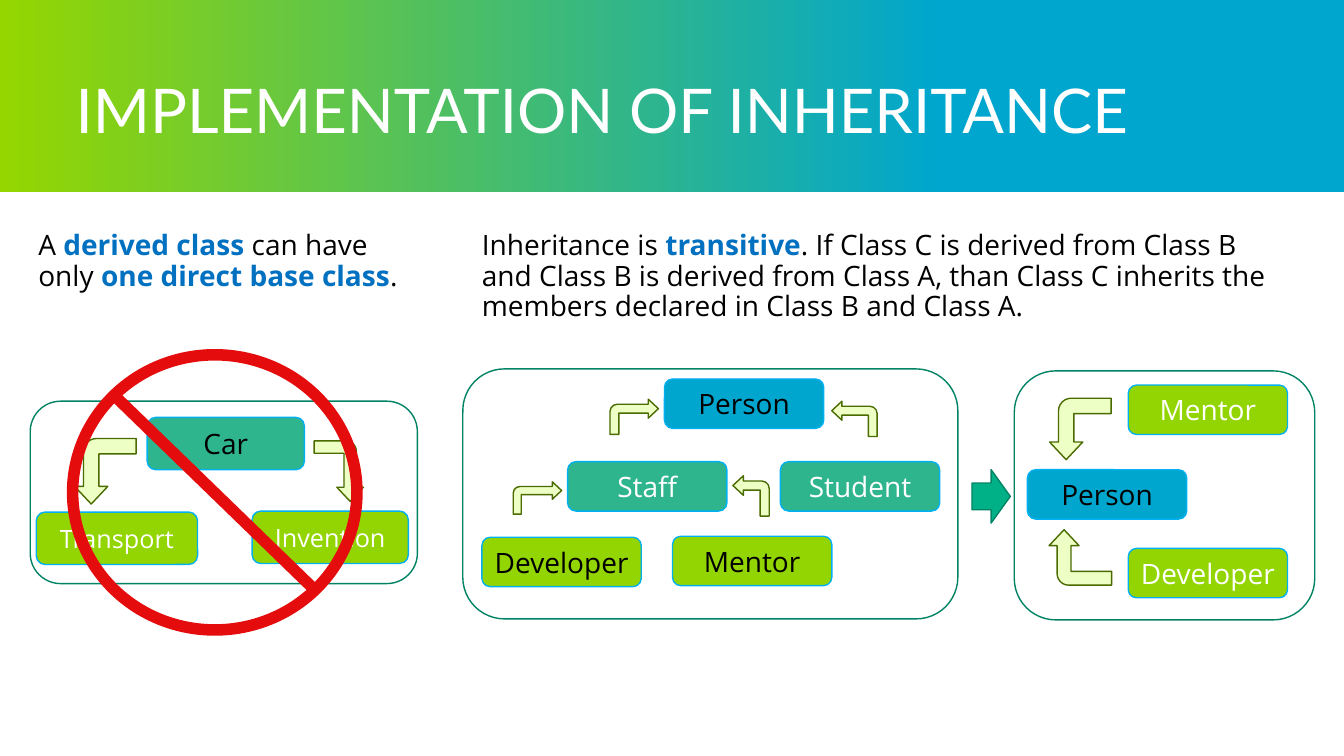
"""Builds the slide on the implementation of inheritance."""
from lxml import etree
from pptx import Presentation
from pptx.dml.color import RGBColor
from pptx.enum.shapes import MSO_CONNECTOR, MSO_SHAPE
from pptx.enum.text import MSO_ANCHOR, MSO_AUTO_SIZE, PP_ALIGN
from pptx.oxml.ns import qn
from pptx.util import Inches, Pt

RECT, ROUND, OVAL = MSO_SHAPE.RECTANGLE, MSO_SHAPE.ROUNDED_RECTANGLE, MSO_SHAPE.OVAL
BENT, RIGHT = MSO_SHAPE.BENT_ARROW, MSO_SHAPE.RIGHT_ARROW
STRAIGHT = MSO_CONNECTOR.STRAIGHT
TOP, MIDDLE = MSO_ANCHOR.TOP, MSO_ANCHOR.MIDDLE
LEFT, CENTER = PP_ALIGN.LEFT, PP_ALIGN.CENTER
NO_AUTOSIZE = MSO_AUTO_SIZE.NONE

WHITE = RGBColor(0xFF, 0xFF, 0xFF)
BLACK = RGBColor(0x00, 0x00, 0x00)
BLUE = RGBColor(0x00, 0xA6, 0xCE)
LIME = RGBColor(0x95, 0xD6, 0x00)
GREEN = RGBColor(0x93, 0xD5, 0x02)
TEAL = RGBColor(0x2F, 0xB5, 0x8E)
KEYWORD = RGBColor(0x00, 0x70, 0xC0)
BOX_LINE = RGBColor(0x00, 0xB0, 0xF0)
PANEL_LINE = RGBColor(0x00, 0x83, 0x65)
ARROW_FILL = RGBColor(0xED, 0xFF, 0xC4)
ARROW_LINE = RGBColor(0x4A, 0x6B, 0x00)
STEP_FILL = RGBColor(0x00, 0xB1, 0x88)
RED = RGBColor(0xE4, 0x0C, 0x0C)

BOX_W, BOX_H = 1.58, 0.49
BEND = (0.25, 0.27, 0.287, 0.207)


def set_text(tf, runs, size=20, font="Open Sans", color=BLACK, align=LEFT,
             anchor=TOP, spacing=0.9, margins=(0, 0.05, 0.1, 0.05)):
    """Fill a text frame with one paragraph of (text, is_keyword) runs."""
    tf.word_wrap = True
    tf.auto_size = NO_AUTOSIZE
    tf.vertical_anchor = anchor
    tf.margin_left, tf.margin_top, tf.margin_right, tf.margin_bottom = map(Inches, margins)
    p = tf.paragraphs[0]
    p.alignment = align
    p.line_spacing = spacing
    for text, is_keyword in runs:
        r = p.add_run()
        r.text = text
        r.font.name, r.font.size = font, Pt(size)
        r.font.bold = is_keyword
        r.font.color.rgb = KEYWORD if is_keyword else color


def add_figure(shapes, kind, at, fill=None, line=None, width=1):
    """Add a preset shape with a plain fill and outline."""
    sp = shapes.add_shape(kind, *map(Inches, at))
    sp.shadow.inherit = False
    if fill is None:
        sp.fill.background()
    else:
        sp.fill.solid()
        sp.fill.fore_color.rgb = fill
    if line is None:
        sp.line.fill.background()
    else:
        sp.line.color.rgb = line
        sp.line.width = Pt(width)
    return sp


def add_class(shapes, name, x, y, fill, color=BLACK, w=BOX_W, h=BOX_H, size=20):
    """Add a box that names a class."""
    sp = add_figure(shapes, ROUND, (x, y, w, h), fill, BOX_LINE)
    set_text(sp.text_frame, [(name, False)], size=size, color=color, align=CENTER,
             anchor=MIDDLE, spacing=1.0, margins=(0.05,) * 4)


def add_bend(shapes, at, rotation=0, flip=None):
    """Add a bent arrow, turned and mirrored as asked."""
    sp = add_figure(shapes, BENT, at, ARROW_FILL, ARROW_LINE)
    for i, value in enumerate(BEND):
        sp.adjustments[i] = value
    sp.rotation = rotation
    if flip:
        sp._element.spPr.find(qn("a:xfrm")).set(flip, "1")


def add_panel(shapes, *at):
    """Add the rounded outline around a diagram."""
    add_figure(shapes, ROUND, at, line=PANEL_LINE)


def add_header(s):
    """Add the gradient band and the title over it."""
    title = s.shapes.title
    title.left, title.top, title.width, title.height = map(Inches, (0.75, 0.75, 11.83, 0.75))
    set_text(title.text_frame, [("IMPLEMENTATION OF INHERITANCE", False)], size=44,
             font="Lato", color=WHITE, anchor=MIDDLE)
    band = add_figure(s.shapes, RECT, (0, 0, 13.33, 1.91))
    band.fill.gradient()
    band.fill.gradient_angle = 180
    for stop, position, color in zip(band.fill.gradient_stops, (0.3, 1), (BLUE, LIME)):
        stop.position = position
        stop.color.rgb = color
    title._element.addprevious(band._element)


def add_statement(shapes, at, runs):
    """Add a statement above a diagram."""
    set_text(shapes.add_textbox(*map(Inches, at)).text_frame, runs)


def add_ban(shapes):
    """Add the red prohibition sign."""
    add_figure(shapes, OVAL, (0.72, 3.52, 2.82, 2.73), line=RED, width=8.25)
    bar = shapes.add_connector(STRAIGHT, *map(Inches, (1.13, 3.92, 3.12, 5.85)))
    bar.line.color.rgb = RED
    bar.line.width = Pt(8.25)
    etree.SubElement(bar._element.spPr, qn("a:effectLst"))


def add_two_bases(shapes):
    """Add the forbidden diagram of a class with two bases."""
    add_class(shapes, "Transport", 0.36, 5.08, GREEN, WHITE, w=1.6, h=0.52, size=18)
    add_class(shapes, "Car", 1.46, 4.14, TEAL, w=1.56, h=0.52)
    add_class(shapes, "Invention", 2.5, 5.07, GREEN, WHITE, w=1.55, h=0.52, size=18)
    add_panel(shapes, 0.3, 3.98, 3.84, 1.81)
    add_bend(shapes, (3.06, 4.43, 0.6, 0.49), rotation=90)
    add_bend(shapes, (0.72, 4.37, 0.65, 0.61), rotation=90, flip="flipV")


def add_hierarchy(shapes):
    """Add the diagram of the class hierarchy."""
    for name, x, y, fill, color in (
            ("Staff", 5.63, 4.58, TEAL, WHITE), ("Developer", 4.78, 5.33, GREEN, BLACK),
            ("Mentor", 6.67, 5.32, GREEN, BLACK), ("Student", 7.74, 4.58, TEAL, WHITE),
            ("Person", 6.59, 3.76, BLUE, BLACK)):
        add_class(shapes, name, x, y, fill, color)
    add_bend(shapes, (5.09, 4.78, 0.48, 0.32))
    add_bend(shapes, (6.05, 3.96, 0.48, 0.35))
    add_bend(shapes, (7.27, 4.72, 0.36, 0.4), flip="flipH")
    add_bend(shapes, (8.25, 3.98, 0.45, 0.35), flip="flipH")
    add_panel(shapes, 4.59, 3.66, 4.91, 2.48)


def add_result(shapes):
    """Add the diagram of what follows from transitivity."""
    add_class(shapes, "Person", 10.19, 4.66, BLUE)
    add_class(shapes, "Developer", 11.19, 5.44, GREEN, WHITE)
    add_class(shapes, "Mentor", 11.19, 3.82, GREEN, WHITE)
    add_bend(shapes, (10.41, 3.95, 0.61, 0.61), rotation=90, flip="flipV")
    add_bend(shapes, (10.44, 5.22, 0.55, 0.62), rotation=270)
    add_panel(shapes, 10.06, 3.68, 2.98, 2.47)


def main():
    """Build and save the slide."""
    prs = Presentation()
    prs.slide_width, prs.slide_height = Inches(13.33), Inches(7.5)
    s = prs.slides.add_slide(prs.slide_layouts[5])
    add_header(s)
    add_statement(s.shapes, (0.38, 2.25, 3.78, 0.81), [
        ("A ", False), ("derived class ", True), ("can have only ", False),
        ("one direct base class", True), (".", False)])
    add_statement(s.shapes, (4.78, 2.25, 8.03, 1.07), [
        ("Inheritance is ", False), ("transitive", True),
        (". If Class C is derived from Class B and Class B is derived from Class A, "
         "than Class C inherits the members declared in Class B and Class A.", False)])
    add_two_bases(s.shapes)
    for add_diagram in (add_ban, add_hierarchy, add_result):
        add_diagram(s.shapes.add_group_shape().shapes)
    add_figure(s.shapes, RIGHT, (9.64, 4.66, 0.38, 0.53), STEP_FILL, PANEL_LINE)
    prs.save("out.pptx")


if __name__ == "__main__":
    main()
